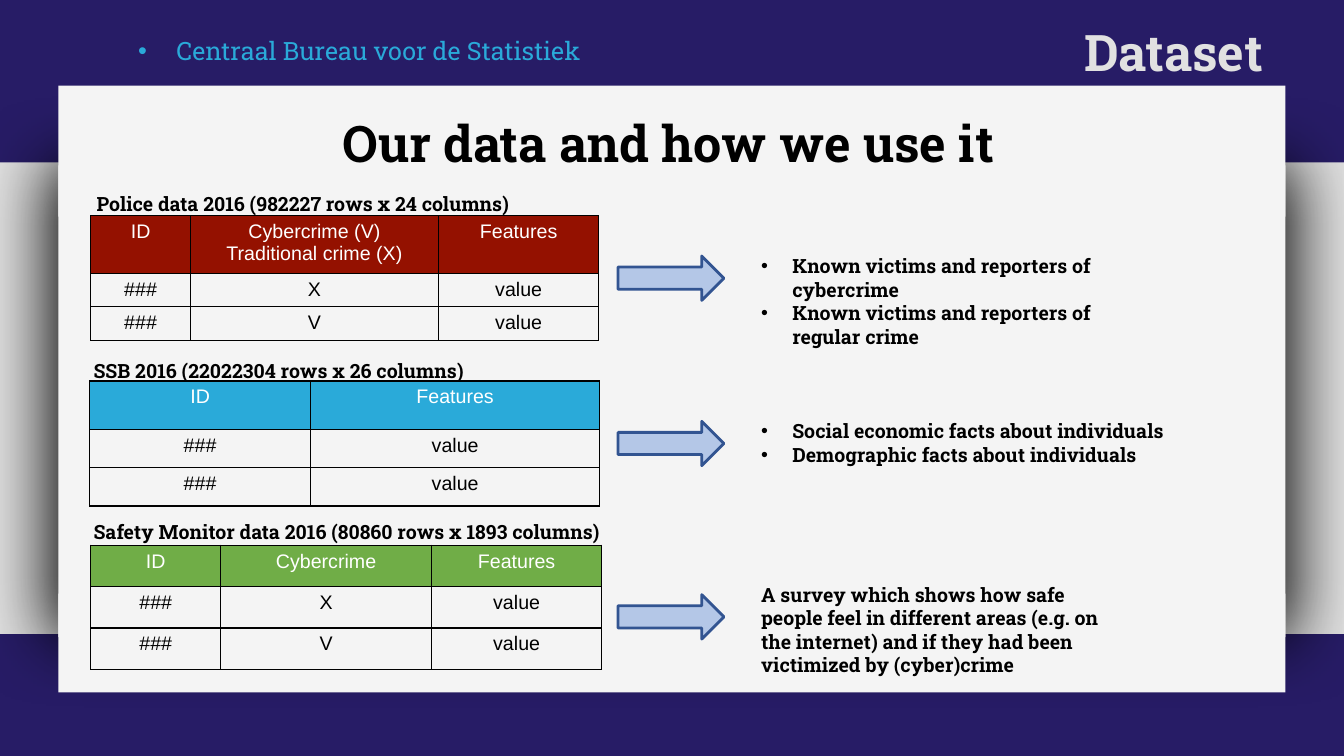
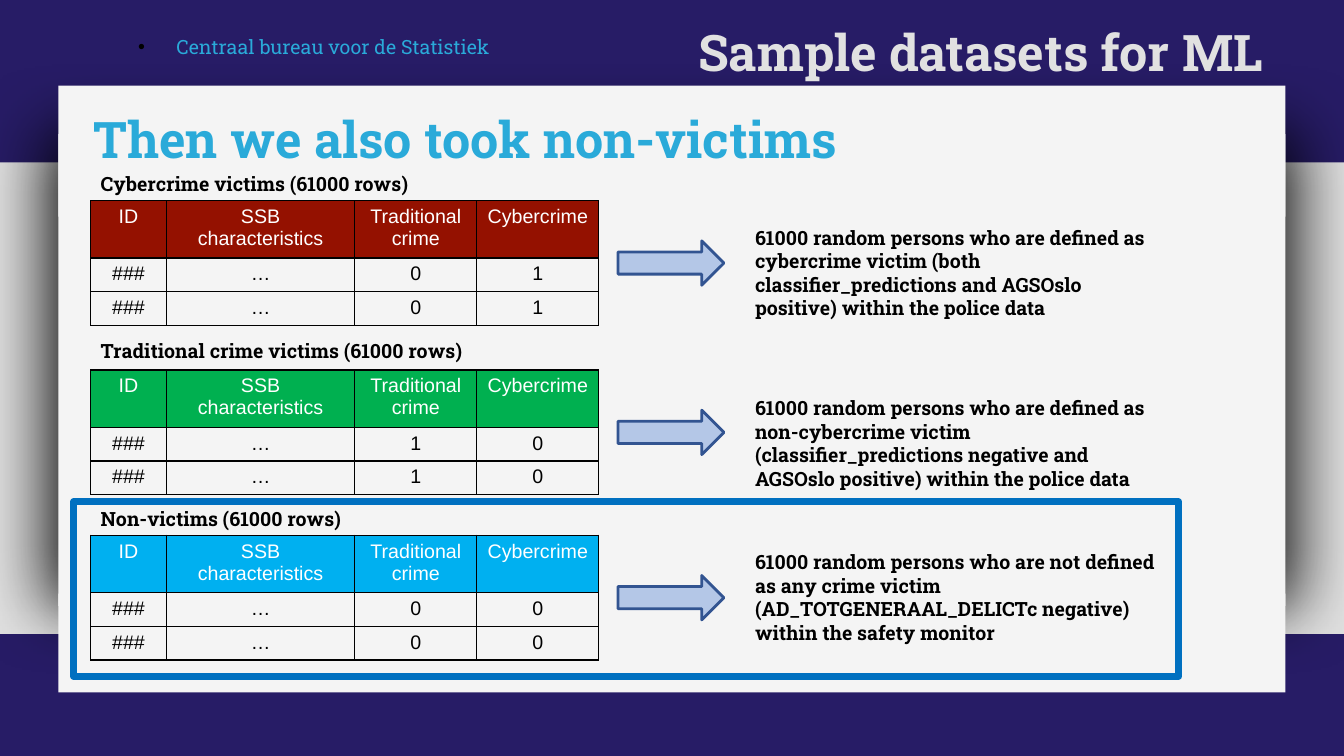
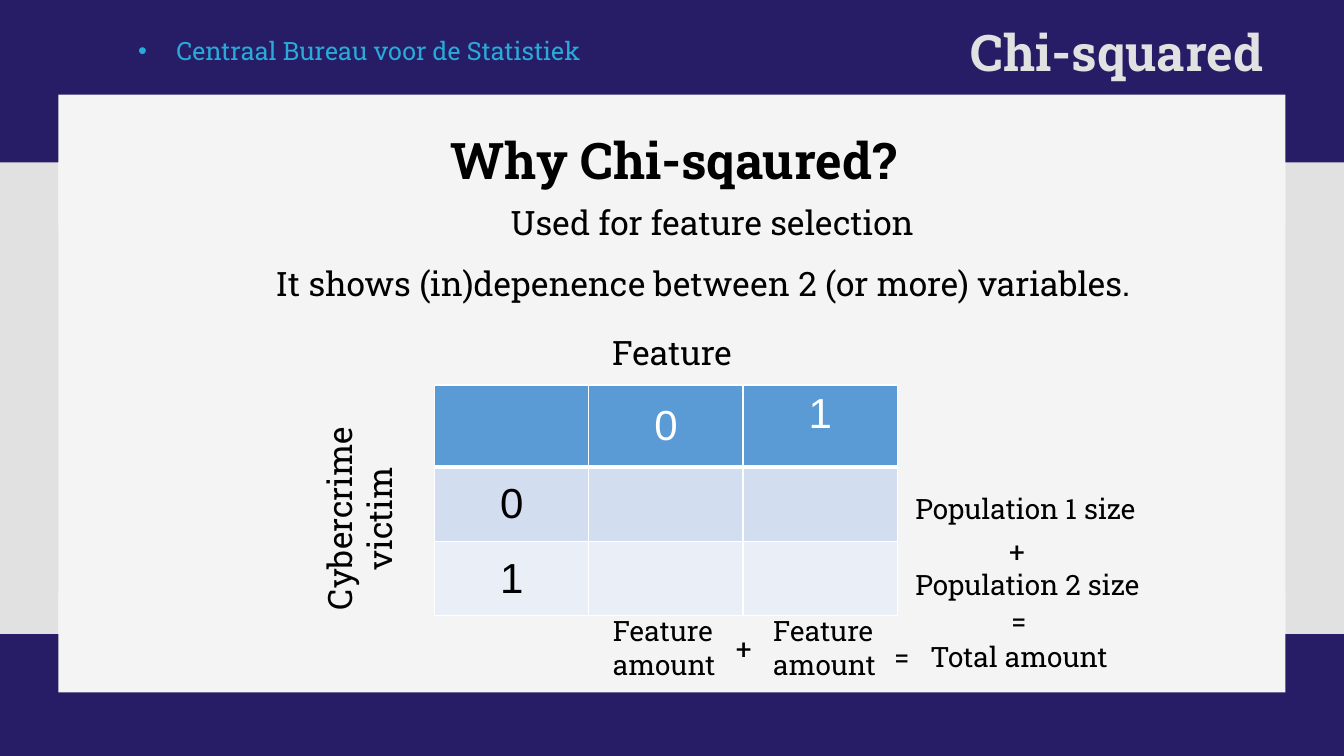
from dataclasses import dataclass

from lxml.etree import SubElement
from pptx import Presentation
from pptx.dml.color import RGBColor
from pptx.enum.shapes import MSO_SHAPE
from pptx.enum.text import MSO_ANCHOR, MSO_AUTO_SIZE, PP_ALIGN
from pptx.oxml.ns import qn
from pptx.util import Inches, Pt

NAVY, GREY, PANEL = "271C66", "E1E1E1", "F4F4F4"
BLACK, WHITE, CYAN = "000000", "FFFFFF", "2AAAD9"
RED = "941100"
SLAB, SANS = "Roboto Slab", "Arial"

TITLE = {"name": SLAB, "size": Pt(36), "bold": True}
STRONG = {"name": SLAB, "size": Pt(14), "bold": True}
SOURCE = {"name": SLAB, "size": Pt(18), "bold": False}
SMALL_SOURCE = SOURCE | {"size": Pt(14)}
LARGE = {"name": SLAB, "size": Pt(24), "bold": False}
LABEL = {"name": SLAB, "size": Pt(20), "bold": False}
CELL = {"name": SANS, "size": Pt(14), "bold": False}
BIG_CELL = CELL | {"size": Pt(30)}


@dataclass
class Dataset:
    """One row of a slide: caption and table, arrow, and explanation."""
    caption: str
    caption_at: tuple
    table_at: tuple
    columns: list
    rows: list
    cells: list
    color: str
    arrow_top: float
    notes: list
    note_box: tuple


def rgb(color):
    return RGBColor.from_string(color)


def place(shape, left, top, width, height):
    shape.left, shape.top = Inches(left), Inches(top)
    shape.width, shape.height = Inches(width), Inches(height)


def add_bullet(para, color, indent):
    properties = para._p.get_or_add_pPr()
    properties.set("marL", str(Inches(indent)))
    properties.set("indent", str(-Inches(indent)))
    bullet_color = SubElement(properties, qn("a:buClr"))
    SubElement(bullet_color, qn("a:srgbClr"), val=color)
    SubElement(properties, qn("a:buFont"), typeface=SANS)
    SubElement(properties, qn("a:buChar"), char="•")


def write(frame, lines, style, color, align=PP_ALIGN.LEFT, bullet=None, indent=0.31):
    """Fill a text frame with one paragraph per line; bullet is its colour."""
    for index, line in enumerate(lines):
        para = frame.add_paragraph() if index else frame.paragraphs[0]
        if bullet:
            add_bullet(para, bullet, indent)
        para.alignment = align
        para.space_before = Pt(0)
        run = para.add_run()
        run.text = line
        for name, value in style.items():
            setattr(run.font, name, value)
        run.font.color.rgb = rgb(color)


def add_text(page, box, lines, style, color=BLACK, **layout):
    shape = page.shapes.add_textbox(*map(Inches, box))
    shape.text_frame.word_wrap = True
    write(shape.text_frame, lines, style, color, **layout)
    return shape


def add_block(page, box, fill=None, line=None, width=0, kind=MSO_SHAPE.RECTANGLE):
    shape = page.shapes.add_shape(kind, *map(Inches, box))
    if fill:
        shape.fill.solid()
        shape.fill.fore_color.rgb = rgb(fill)
    else:
        shape.fill.background()
    if line:
        shape.line.color.rgb = rgb(line)
        shape.line.width = Pt(width)
    else:
        shape.line.fill.background()
    shape.shadow.inherit = False
    return shape


def add_glow(shape):
    """Give a shape a wide, soft black shadow on all sides."""
    effects = shape.element.spPr.find(qn("a:effectLst"))
    shadow = SubElement(effects, qn("a:outerShdw"), blurRad=str(Inches(0.7)), dist="0",
                        sx="102000", sy="102000", algn="ctr", rotWithShape="0")
    color = SubElement(shadow, qn("a:srgbClr"), val=BLACK)
    SubElement(color, qn("a:alpha"), val="90000")


def set_borders(cell, color, bottom=1):
    properties = cell._tc.get_or_add_tcPr()
    widths = {"a:lnL": 1, "a:lnR": 1, "a:lnT": 1, "a:lnB": bottom}
    for index, (tag, width) in enumerate(widths.items()):
        line = SubElement(properties, qn(tag), w=str(Pt(width)))
        fill = SubElement(line, qn("a:solidFill"))
        SubElement(fill, qn("a:srgbClr"), val=color)
        properties.insert(index, line)


def add_table(page, at, columns, rows, cells, fills, border, style,
              header_line=1, anchor=MSO_ANCHOR.TOP):
    """Draw a table with one fill per row; cells hold text with line breaks."""
    size = sum(columns), sum(rows)
    table = page.shapes.add_table(len(rows), len(columns), *map(Inches, at + size)).table
    table.first_row = table.horz_banding = False
    for column, width in zip(table.columns, columns):
        column.width = Inches(width)
    for index, (row, height) in enumerate(zip(table.rows, rows)):
        row.height = Inches(height)
        for cell, text in zip(row.cells, cells[index]):
            if fills[index]:
                cell.fill.solid()
                cell.fill.fore_color.rgb = rgb(fills[index])
            else:
                cell.fill.background()
            set_borders(cell, border, bottom=1 if index else header_line)
            cell.vertical_anchor = anchor
            if text:
                write(cell.text_frame, text.split("\n"), style,
                      BLACK if index else WHITE, align=PP_ALIGN.CENTER)
    return table


def set_up_deck():
    deck = Presentation()
    deck.slide_width, deck.slide_height = Inches(13.33), Inches(7.5)
    background = deck.slide_master.background.fill
    background.solid()
    background.fore_color.rgb = rgb(NAVY)
    title, body = list(deck.slide_layouts[1].placeholders)[:2]
    place(title, 6.66, 0.15, 5.97, 0.71)
    place(body, 1.27, 0.3, 5.3, 0.4)
    return deck


def add_page(deck, title, source, panel_top, middle_top, source_style=SOURCE,
             bullet=CYAN, glow=True):
    """Add a slide with band, light panel, title and the data source."""
    page = deck.slides.add_slide(deck.slide_layouts[1])
    add_block(page, (0, 1.61, 13.33, 4.68), GREY)
    middle = add_block(page, (0.58, middle_top, 12.17, 4.68), PANEL)
    if glow:
        add_glow(middle)
    add_block(page, (0.58, panel_top, 12.17, 1.3), PANEL)
    add_block(page, (0.58, 5.89, 12.17, 0.98), PANEL)
    heading, body = page.placeholders
    for holder in (heading, body):
        holder.text_frame.auto_size = MSO_AUTO_SIZE.NONE
        page.shapes.element.append(holder.element)
    write(heading.text_frame, [title], TITLE, GREY, align=PP_ALIGN.RIGHT)
    write(body.text_frame, [source], source_style, CYAN, bullet=bullet, indent=0.38)
    return page


def add_dataset(page, data):
    add_text(page, data.caption_at + (5.3, 0.34), [data.caption], STRONG)
    add_table(page, data.table_at, data.columns, data.rows, data.cells,
              [data.color, None, None], BLACK, CELL)
    add_block(page, (6.13, data.arrow_top, 1.05, 0.44), "B4C7E7", "325491", 2,
              MSO_SHAPE.RIGHT_ARROW)
    add_text(page, data.note_box, data.notes, STRONG,
             bullet=BLACK if len(data.notes) > 1 else None)


def add_dataset_page(deck):
    page = add_page(deck, "Dataset", "Centraal Bureau voor de Statistiek", 0.85, 1.64)
    add_text(page, (1.22, 1.06, 10.82, 0.71), ["Our data and how we use it"], TITLE,
             align=PP_ALIGN.CENTER)
    flagged = [["###", "X", "value"], ["###", "V", "value"]]
    datasets = [
        Dataset("Police data 2016 (982227 rows x 24 columns)", (0.86, 1.85), (0.9, 2.14),
                [0.99, 2.46, 1.59], [0.57, 0.33, 0.33],
                [["ID", "Cybercrime (V)\nTraditional crime (X)", "Features"], *flagged],
                RED, 2.54,
                ["Known victims and reporters of cybercrime",
                 "Known victims and reporters of regular crime"],
                (7.45, 2.47, 3.55, 1.04)),
        Dataset("SSB 2016 (22022304 rows x 26 columns)", (0.83, 3.51), (0.89, 3.78),
                [2.19, 2.87], [0.48, 0.38, 0.38],
                [["ID", "Features"], *[["###", "value"]] * 2],
                CYAN, 4.18,
                ["Social economic facts about individuals",
                 "Demographic facts about individuals"],
                (7.45, 4.11, 4.59, 0.57)),
        Dataset("Safety Monitor data 2016 (80860 rows x 1893 columns)", (0.83, 5.11),
                (0.9, 5.41), [1.29, 2.09, 1.69], [0.41, 0.41, 0.41],
                [["ID", "Cybercrime", "Features"], *flagged],
                "70AD47", 5.9,
                ["A survey which shows how safe people feel in different areas (e.g. on "
                 "the internet) and if they had been victimized by (cyber)crime"],
                (7.45, 5.73, 3.55, 1.04)),
    ]
    for data in datasets:
        add_dataset(page, data)


def add_samples_page(deck):
    page = add_page(deck, "Sample datasets for ML", "Centraal bureau voor de Statistiek",
                    0.85, 1.33, SMALL_SOURCE, BLACK)
    add_text(page, (0.83, 1.02, 8.63, 0.71), ["Then we also took non-victims"], TITLE, CYAN)
    header = ["ID", "SSB characteristics", "Traditional crime", "Cybercrime"]
    samples = [
        ("Cybercrime victims", 1.66, 1.99, RED, "0", "1", 2.19,
         "defined as cybercrime victim (both classifier_predictions and AGSOslo positive) "
         "within the police data"),
        ("Traditional crime victims", 3.31, 3.67, "00B050", "1", "0", 3.88,
         "defined as non-cybercrime victim (classifier_predictions negative and AGSOslo "
         "positive) within the police data"),
        ("Non-victims", 4.98, 5.31, "00B0F0", "0", "0", 5.41,
         "not defined as any crime victim (AD_TOTGENERAAL_DELICTc negative) within the "
         "safety monitor"),
    ]
    for name, caption_top, top, color, traditional, cyber, note_top, note in samples:
        add_dataset(page, Dataset(
            f"{name} (61000 rows)", (0.9, caption_top), (0.9, top),
            [0.75, 1.87, 1.21, 1.21], [0.57, 0.33, 0.33],
            [header, *[["###", "…", traditional, cyber]] * 2], color, top + 0.4,
            [f"61000 random persons who are {note}"], (7.39, note_top, 4.2, 1.04)))
    add_block(page, (0.73, 4.98, 10.96, 1.73), line="0070C0", width=5)


def add_chi_squared_page(deck):
    page = add_page(deck, "Chi-squared", "Centraal Bureau voor de Statistiek", 0.94, 1.61,
                    glow=False)
    centre = PP_ALIGN.CENTER
    add_text(page, (1.27, 1.23, 10.82, 0.71), ["Why Chi-sqaured?"], TITLE, align=centre)
    large_texts = [
        ((2.39, 1.95, 9.35, 0.5), "Used for feature selection"),
        ((2.3, 2.56, 9.35, 0.5), "It shows (in)depenence between 2 (or more) variables."),
        ((5.36, 3.24, 2.61, 0.5), "Feature"),
    ]
    for box, text in large_texts:
        add_text(page, box, [text], LARGE, align=centre)
    side = add_text(page, (2.26, 4.69, 2.61, 0.91), ["Cybercrime victim"], LARGE, align=centre)
    side.rotation = 270
    table = add_table(page, (4.31, 3.82), [1.53] * 3, [0.81, 0.74, 0.74],
                      [["", "0", "1"], ["0", "", ""], ["1", "", ""]],
                      ["5B9BD5", "D2DEEF", "EAEFF7"], WHITE, BIG_CELL,
                      header_line=3, anchor=MSO_ANCHOR.MIDDLE)
    table.cell(0, 2).vertical_anchor = MSO_ANCHOR.TOP
    labels = [
        ("Population 1 size", 8.98, 4.83, 2.61), ("Population 2 size", 8.98, 5.58, 2.61),
        ("Total amount", 9.13, 6.3, 2.61),
        ("Feature amount", 5.98, 6.04, 1.37), ("Feature amount", 7.57, 6.04, 1.37),
        ("+", 7.2, 6.22, 0.38), ("+", 9.91, 5.25, 0.38),
        ("=", 9.93, 5.95, 0.38), ("=", 8.77, 6.31, 0.38),
    ]
    for text, left, top, width in labels:
        add_text(page, (left, top, width, 0.44), [text], LABEL)


def main():
    deck = set_up_deck()
    add_dataset_page(deck)
    add_samples_page(deck)
    add_chi_squared_page(deck)
    deck.save("out.pptx")


if __name__ == "__main__":
    main()
